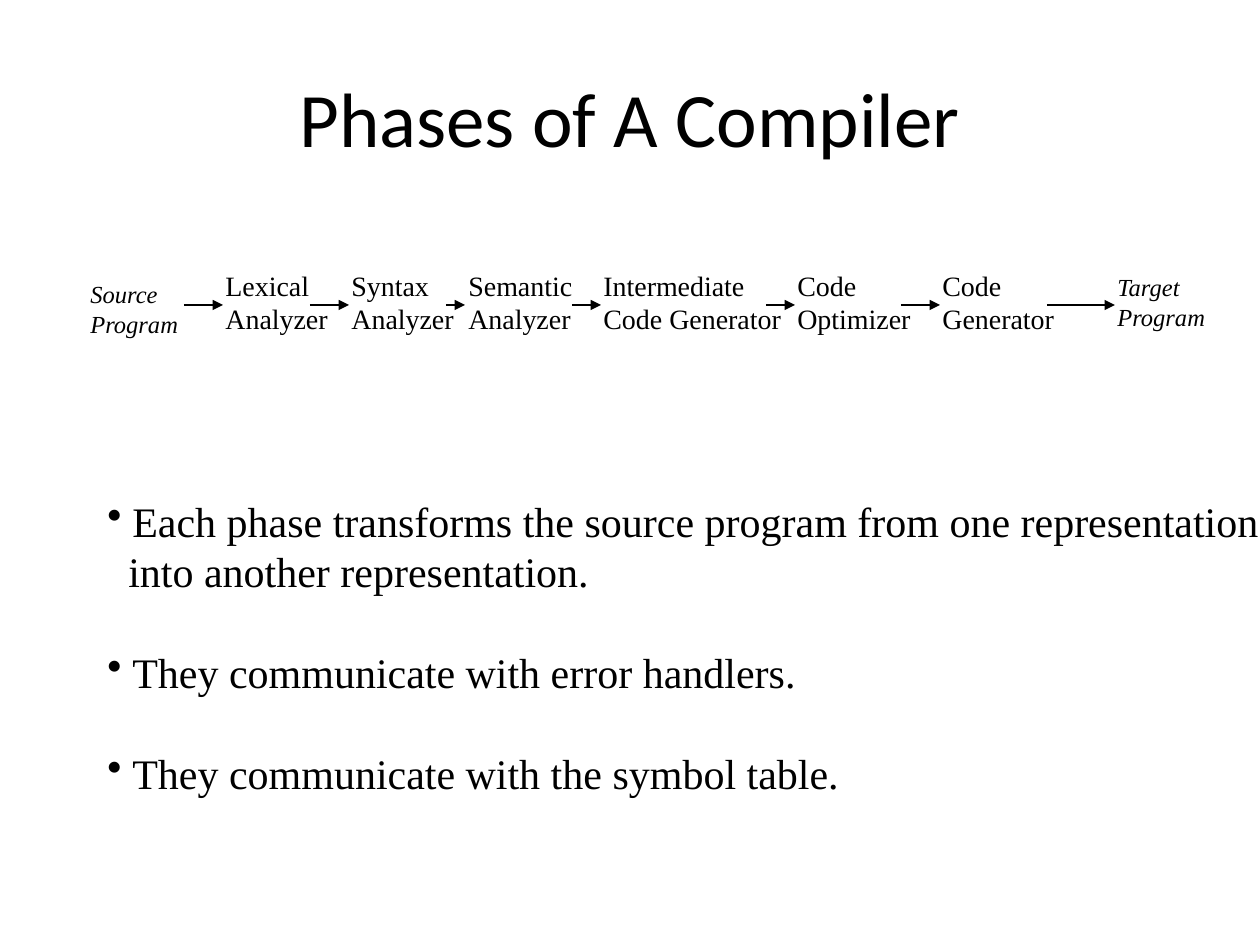
from pptx import Presentation
from pptx.dml.color import RGBColor
from pptx.enum.shapes import MSO_CONNECTOR
from pptx.enum.text import MSO_ANCHOR, PP_ALIGN
from pptx.oxml.ns import qn
from pptx.util import Emu, Pt
from lxml import etree

PX = 914400 / 126
STRAIGHT = MSO_CONNECTOR.STRAIGHT
MIDDLE, TOP = MSO_ANCHOR.MIDDLE, MSO_ANCHOR.TOP
CENTER, LEFT = PP_ALIGN.CENTER, PP_ALIGN.LEFT
BLACK = "000000"
SERIF = "Times New Roman"

TITLE = {"name": "Calibri", "size": Pt(44)}
PHASE = {"name": SERIF, "size": Pt(16)}
PROGRAM = {"name": SERIF, "size": Pt(14), "italic": True}
POINT = {"name": SERIF, "size": Pt(24)}


def px(length):
    return Emu(round(length * PX))


def color(hex_value):
    return RGBColor.from_string(hex_value)


class SlideWriter:
    """Holds the ink colour and the slide being filled."""

    def __init__(self, slide, ink=BLACK):
        self.slide = slide
        self.ink = color(ink)

    def style(self, paragraph, font_format):
        for attribute, value in font_format.items():
            setattr(paragraph.font, attribute, value)
        paragraph.font.color.rgb = self.ink

    def text(self, box, lines, font_format, wrap=False, anchor=TOP, align=LEFT):
        frame = self.slide.shapes.add_textbox(*map(px, box)).text_frame
        frame.word_wrap = wrap
        frame.vertical_anchor = anchor
        frame.text = "\n".join(lines)
        for paragraph in frame.paragraphs:
            paragraph.alignment = align
            self.style(paragraph, font_format)
        return frame

    def points(self, box, lines, font_format, gap):
        """Lines are (text, indent in px, bulleted) tuples."""
        frame = self.text(box, [line[0] for line in lines], font_format)
        for index, (paragraph, line) in enumerate(zip(frame.paragraphs, lines)):
            indent, bulleted = line[1:]
            properties = paragraph._p.get_or_add_pPr()
            properties.set("marL", str(px(indent)))
            properties.set("indent", str(px(-indent if bulleted else 0)))
            if bulleted:
                if index:
                    paragraph.space_before = gap
                bullet = etree.Element(qn("a:buChar"), char="•")
                properties.find(qn("a:defRPr")).addprevious(bullet)

    def arrow(self, start, end, y):
        connector = self.slide.shapes.add_connector(
            STRAIGHT, px(start), px(y), px(end), px(y))
        connector.line.color.rgb = self.ink
        connector.line.width = Pt(0.75)
        etree.SubElement(connector.line._get_or_add_ln(), qn("a:tailEnd"), type="triangle")
        etree.SubElement(connector._element.spPr, qn("a:effectLst"))


def main():
    presentation = Presentation()
    presentation.slide_width, presentation.slide_height = px(1260), px(945)
    writer = SlideWriter(presentation.slides.add_slide(presentation.slide_layouts[6]))

    # Title
    writer.text((63, 38, 1134, 157), ["Phases of A Compiler"], TITLE,
                wrap=True, anchor=MIDDLE, align=CENTER)

    # Compiler phases: left, width, lines
    for left, width, *lines in (
            (213, 130, "Lexical", "Analyzer"),
            (339, 130, "Syntax", "Analyzer"),
            (456, 139, "Semantic", "Analyzer"),
            (591, 205, "Intermediate", "Code Generator"),
            (785, 141, "Code", "Optimizer"),
            (930, 145, "Code", "Generator")):
        writer.text((left, 262, width, 81), lines, PHASE)

    # Programs at both ends of the chain
    for left, top, role in ((78, 273, "Source"), (1105, 266, "Target")):
        writer.text((left, top, 113, 72), [role, "Program"], PROGRAM)

    # Flow between the phases
    for start, end in ((184, 223), (310, 349), (446, 465), (572, 601),
                       (766, 795), (901, 940), (1047, 1115)):
        writer.arrow(start, end, 305)

    # Remarks
    writer.points((95, 489, 1198, 318), (
        ("Each phase transforms the source program from one representation", 25, True),
        ("into another representation.", 21, False),
        ("They communicate with error handlers.", 25, True),
        ("They communicate with the symbol table.", 25, True)), POINT, gap=Pt(28.8))

    presentation.save("out.pptx")


if __name__ == "__main__":
    main()
